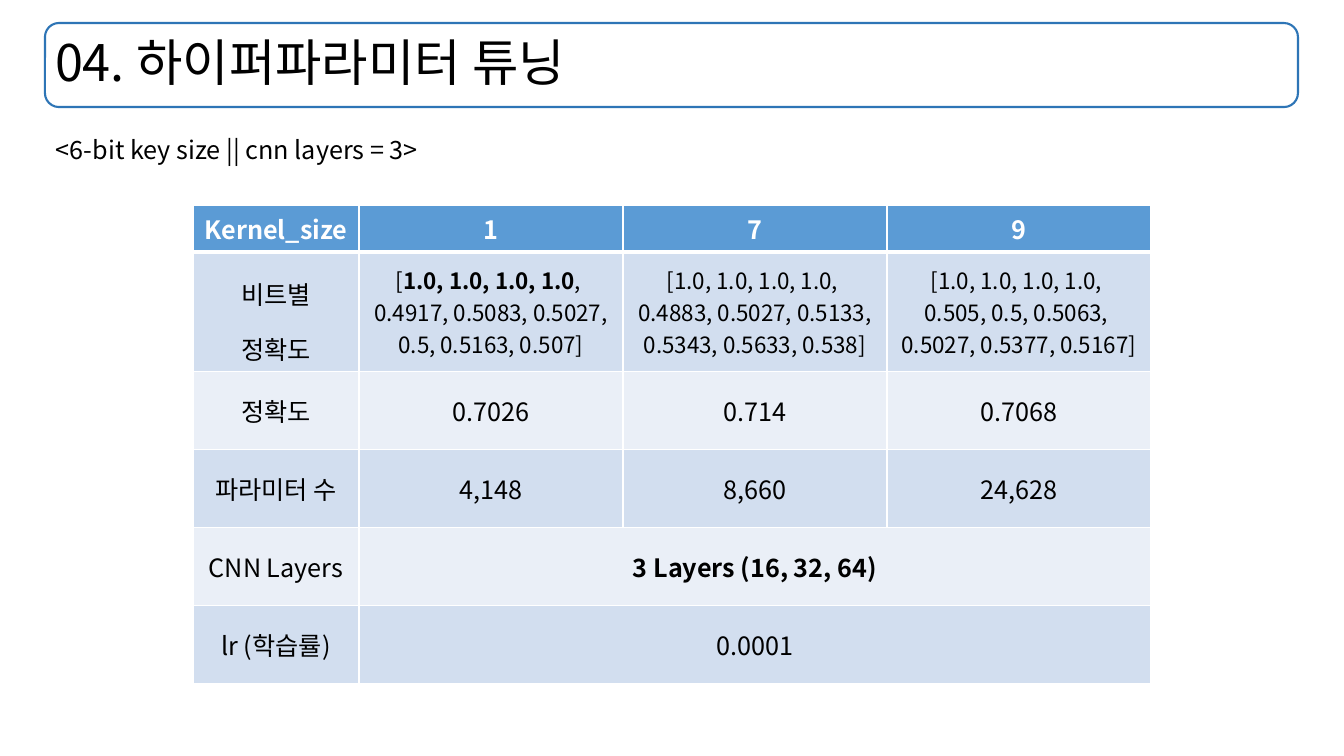
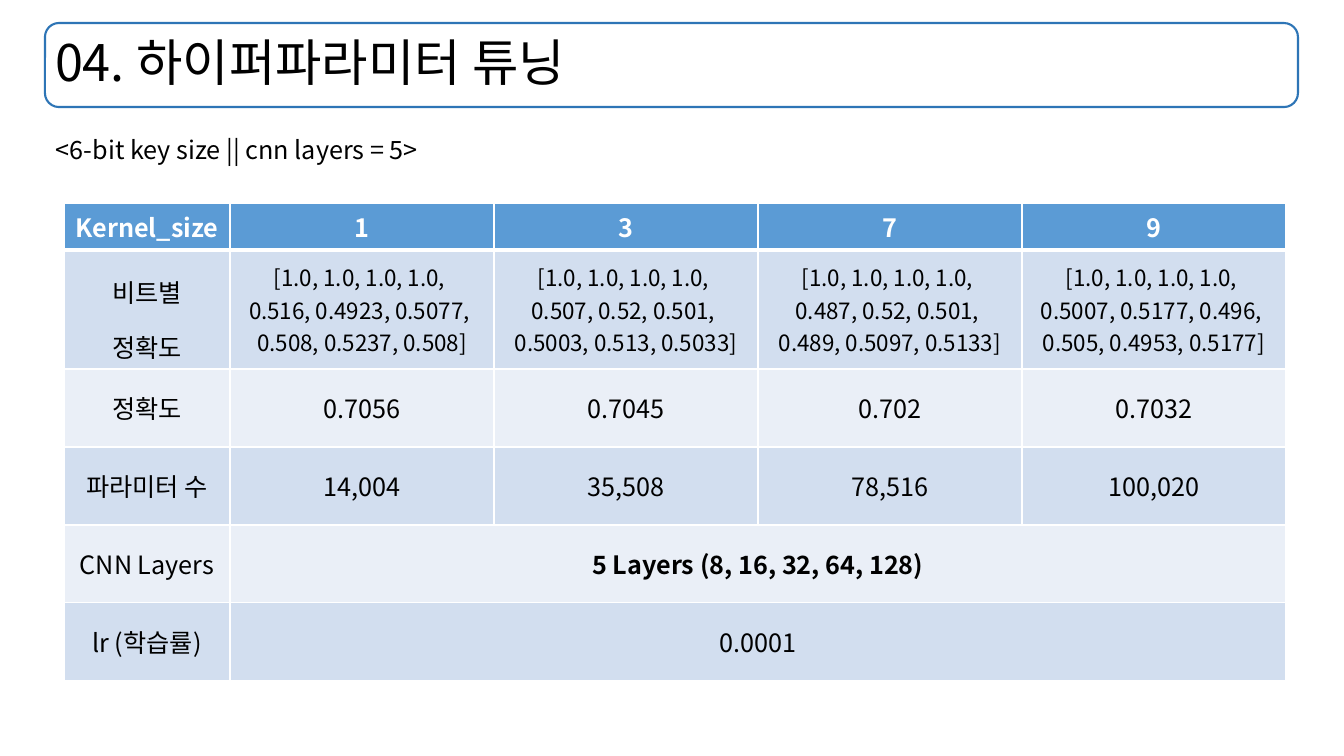
from lxml import etree
from pptx import Presentation
from pptx.dml import color
from pptx.enum import shapes, text
from pptx.oxml import ns
from pptx.util import Emu, Pt

SLIDE_WIDTH, SLIDE_HEIGHT = 1344, 756
SCALE = 12192000 / SLIDE_WIDTH
FONT = "Noto Sans CJK KR"
BLACK, WHITE = "000000", "FFFFFF"
OUTLINE, HEADER = "2E75B6", "5B9BD5"
BANDS = ("D2DEEF", "EAEFF7")
LABEL_WIDTH, VALUE_WIDTH = 166, 264
HEADER_HEIGHT, BITS_HEIGHT, ROW_HEIGHT = 47, 119, 78
TITLE = "04. 하이퍼파라미터 튜닝"
PERFECT_BITS = "[1.0, 1.0, 1.0, 1.0, "


def px(length):
    return Emu(round(length * SCALE))


def box(left, top, width, height):
    return px(left), px(top), px(width), px(height)


def rgb(value):
    return color.RGBColor.from_string(value)


def write(frame, paragraphs, size=18, ink=BLACK, bold=False, align="LEFT", spacing=1.0):
    for index, content in enumerate(paragraphs):
        paragraph = frame.paragraphs[0] if index == 0 else frame.add_paragraph()
        paragraph.alignment = text.PP_ALIGN[align]
        paragraph.line_spacing = spacing
        pieces = [(content, bold)] if isinstance(content, str) else content
        for piece, piece_bold in pieces:
            run = paragraph.add_run()
            run.text = piece
            font = run.font
            font.name, font.size, font.bold = FONT, Pt(size), piece_bold
            properties = run._r.get_or_add_rPr()
            etree.SubElement(properties, ns.qn("a:ea")).set("typeface", FONT)
            font.color.rgb = rgb(ink)


def add_title(slide):
    shape = slide.shapes.add_shape(
        shapes.MSO_SHAPE.ROUNDED_RECTANGLE, *box(45, 23, 1253, 84))
    shape.shadow.inherit = False
    shape.fill.background()
    shape.line.color.rgb = rgb(OUTLINE)
    shape.line.width = Pt(1.5)
    frame = shape.text_frame
    frame.margin_left = px(6)
    frame.vertical_anchor = text.MSO_ANCHOR.MIDDLE
    write(frame, [TITLE], size=36, spacing=0.9)


def add_condition(slide, condition):
    frame = slide.shapes.add_textbox(*box(46, 114, 403, 51)).text_frame
    frame.word_wrap = True
    frame.auto_size = text.MSO_AUTO_SIZE.SHAPE_TO_FIT_TEXT
    write(frame, [condition], spacing=1.5)


def set_borders(cell, top=1, bottom=1):
    properties = cell._tc.get_or_add_tcPr()
    widths = {"lnL": 1, "lnR": 1, "lnT": top, "lnB": bottom}
    for index, (side, width) in enumerate(widths.items()):
        line = etree.Element(ns.qn(f"a:{side}"), w=str(Pt(width)))
        fill = etree.SubElement(line, ns.qn("a:solidFill"))
        etree.SubElement(fill, ns.qn("a:srgbClr")).set("val", WHITE)
        properties.insert(index, line)


def add_results(slide, left, top, results, layers):
    rows = [
        ["Kernel_size", *(kernel for kernel, *_ in results)],
        [["비트별", "정확도"], *(bits for _, bits, *_ in results)],
        ["정확도", *(accuracy for *_, accuracy, _ in results)],
        ["파라미터 수", *(count for *_, count in results)],
        ["CNN Layers", layers],
        ["lr (학습률)", "0.0001"],
    ]
    widths = [LABEL_WIDTH] + [VALUE_WIDTH] * len(results)
    heights = [HEADER_HEIGHT, BITS_HEIGHT] + [ROW_HEIGHT] * 4
    table = slide.shapes.add_table(
        len(rows), len(widths), *box(left, top, sum(widths), sum(heights))).table
    for column, width in zip(table.columns, widths):
        column.width = px(width)
    for row_index, (values, height) in enumerate(zip(rows, heights)):
        table.rows[row_index].height = px(height)
        is_header = row_index == 0
        is_bits = row_index == 1
        if len(values) < len(widths):
            table.cell(row_index, 1).merge(table.cell(row_index, len(results)))
        for cell in table.rows[row_index].cells:
            cell.vertical_anchor = text.MSO_ANCHOR.MIDDLE
            cell.fill.solid()
            cell.fill.fore_color.rgb = rgb(
                HEADER if is_header else BANDS[(row_index - 1) % 2])
            set_borders(cell, top=3 if is_bits else 1, bottom=3 if is_header else 1)
        for column_index, value in enumerate(values):
            write(table.cell(row_index, column_index).text_frame,
                  [value] if isinstance(value, str) else value,
                  size=16 if is_bits and column_index else 18,
                  ink=WHITE if is_header else BLACK,
                  bold=is_header or value == layers,
                  align="CENTER",
                  spacing=1.5 if is_bits and not column_index else 1.0)


def add_tuning_slide(presentation, condition, left, top, results, layers):
    slide = presentation.slides.add_slide(presentation.slide_layouts[6])
    add_title(slide)
    add_results(slide, left, top, results, layers)
    add_condition(slide, condition)


def main():
    presentation = Presentation()
    presentation.slide_width = px(SLIDE_WIDTH)
    presentation.slide_height = px(SLIDE_HEIGHT)
    highlighted_bits = [("[", False), ("1.0, 1.0, 1.0, 1.0", True), (", ", False)]
    add_tuning_slide(
        presentation, "<6-bit key size || cnn layers = 3>", 193, 205,
        [
            ("1", [highlighted_bits, "0.4917, 0.5083, 0.5027, 0.5, 0.5163, 0.507]"],
             "0.7026", "4,148"),
            ("7", [PERFECT_BITS, "0.4883, 0.5027, 0.5133, 0.5343, 0.5633, 0.538]"],
             "0.714", "8,660"),
            ("9", [PERFECT_BITS, "0.505, 0.5, 0.5063, ", "0.5027, 0.5377, 0.5167]"],
             "0.7068", "24,628"),
        ],
        "3 Layers (16, 32, 64)")
    add_tuning_slide(
        presentation, "<6-bit key size || cnn layers = 5>", 64, 203,
        [
            ("1", [PERFECT_BITS, "0.516, 0.4923, 0.5077, ", "0.508, 0.5237, 0.508]"],
             "0.7056", "14,004"),
            ("3", [PERFECT_BITS, "0.507, 0.52, 0.501, ", "0.5003, 0.513, 0.5033]"],
             "0.7045", "35,508"),
            ("7", [PERFECT_BITS, "0.487, 0.52, 0.501, ", "0.489, 0.5097, 0.5133]"],
             "0.702", "78,516"),
            ("9", [PERFECT_BITS, "0.5007, 0.5177, 0.496, ", "0.505, 0.4953, 0.5177]"],
             "0.7032", "100,020"),
        ],
        "5 Layers (8, 16, 32, 64, 128)")
    presentation.save("out.pptx")


if __name__ == "__main__":
    main()
